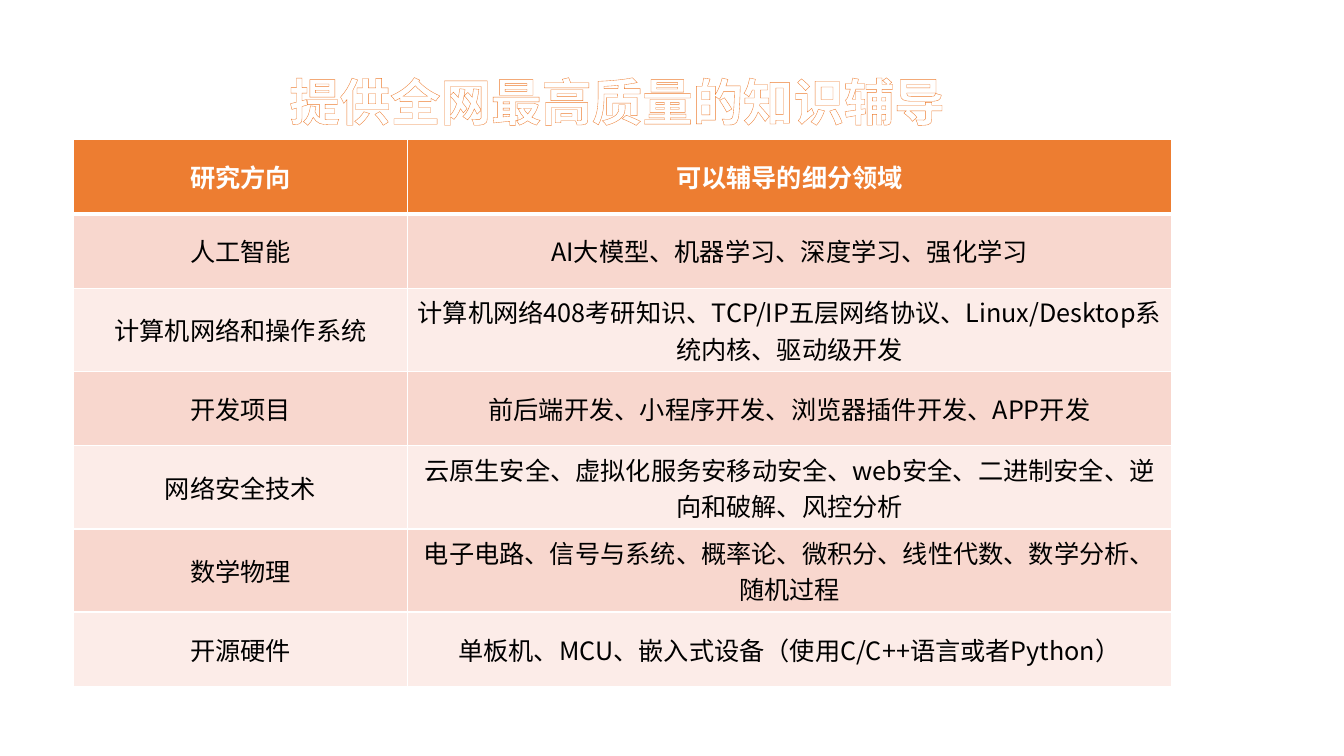
from lxml import etree
from pptx import Presentation
from pptx.dml.color import RGBColor
from pptx.enum.text import MSO_ANCHOR, MSO_AUTO_SIZE, PP_ALIGN
from pptx.oxml.ns import qn
from pptx.util import Inches, Pt

FONT = "Noto Sans CJK SC"
WHITE = RGBColor(0xFF, 0xFF, 0xFF)
BLACK = RGBColor(0, 0, 0)
ORANGE = RGBColor(0xED, 0x7D, 0x31)
BAND_DARK = RGBColor(0xF8, 0xD7, 0xCE)
BAND_LIGHT = RGBColor(0xFC, 0xEC, 0xE8)

TITLE = "提供全网最高质量的知识辅导"
SUBJECTS = [
    ("研究方向", "可以辅导的细分领域"),
    ("人工智能", "AI大模型、机器学习、深度学习、强化学习"),
    ("计算机网络和操作系统",
     "计算机网络408考研知识、TCP/IP五层网络协议、Linux/Desktop系统内核、驱动级开发"),
    ("开发项目", "前后端开发、小程序开发、浏览器插件开发、APP开发"),
    ("网络安全技术",
     "云原生安全、虚拟化服务安移动安全、web安全、二进制安全、逆向和破解、风控分析"),
    ("数学物理", "电子电路、信号与系统、概率论、微积分、线性代数、数学分析、随机过程"),
    ("开源硬件", "单板机、MCU、嵌入式设备（使用C/C++语言或者Python）"),
]
COLUMN_WIDTHS = (3.31, 7.58)
ROW_HEIGHT = 0.74


def style_font(font, properties, size, color, bold):
    font.size, font.bold, font.name = Pt(size), bold, FONT
    font.color.rgb = color
    latin = properties.find(qn("a:latin"))
    east_asian = etree.Element(qn("a:ea"), typeface=FONT)
    latin.addnext(east_asian)


def make_line(tag, color, width):
    line = etree.Element(qn(tag), w=str(Pt(width)))
    fill = etree.SubElement(line, qn("a:solidFill"))
    etree.SubElement(fill, qn("a:srgbClr"), val=str(color))
    return line


def fill_cell(cell, wording, is_header, background):
    # Text
    cell.vertical_anchor = MSO_ANCHOR.MIDDLE
    paragraph = cell.text_frame.paragraphs[0]
    paragraph.alignment = PP_ALIGN.CENTER
    run = paragraph.add_run()
    run.text = wording
    style_font(run.font, run._r.get_or_add_rPr(), 18,
               WHITE if is_header else BLACK, is_header)
    # Borders come before the fill
    cell_properties = cell._tc.get_or_add_tcPr()
    for side in "LRTB":
        width = 3 if is_header and side == "B" else 1
        cell_properties.append(make_line(f"a:ln{side}", WHITE, width))
    cell.fill.solid()
    cell.fill.fore_color.rgb = background


def add_subject_table(slide):
    subjects = slide.shapes.add_table(
        len(SUBJECTS), len(COLUMN_WIDTHS), Inches(0.73), Inches(1.38),
        Inches(sum(COLUMN_WIDTHS)), Inches(ROW_HEIGHT * len(SUBJECTS))).table
    for column, width in zip(subjects.columns, COLUMN_WIDTHS):
        column.width = Inches(width)
    for row_index, wordings in enumerate(SUBJECTS):
        subjects.rows[row_index].height = Inches(ROW_HEIGHT)
        is_header = row_index == 0
        band = BAND_DARK if row_index % 2 else BAND_LIGHT
        for column_index, wording in enumerate(wordings):
            fill_cell(subjects.cell(row_index, column_index), wording,
                      is_header, ORANGE if is_header else band)


def add_title(slide):
    title = slide.shapes.add_textbox(
        Inches(2.52), Inches(0.65), Inches(7.2), Inches(0.71))
    frame = title.text_frame
    frame.word_wrap = True
    frame.auto_size = MSO_AUTO_SIZE.SHAPE_TO_FIT_TEXT
    paragraph = frame.paragraphs[0]
    paragraph.alignment = PP_ALIGN.CENTER
    run = paragraph.add_run()
    run.text = TITLE
    properties = run._r.get_or_add_rPr()
    style_font(run.font, properties, 36, WHITE, True)
    # Orange outline around the white letters
    properties.insert(0, make_line("a:ln", ORANGE, 0.52))


def main():
    deck = Presentation()
    deck.slide_width, deck.slide_height = Inches(13.33), Inches(7.5)
    slide = deck.slides.add_slide(deck.slide_layouts[6])
    add_subject_table(slide)
    add_title(slide)
    deck.save("out.pptx")


if __name__ == "__main__":
    main()
